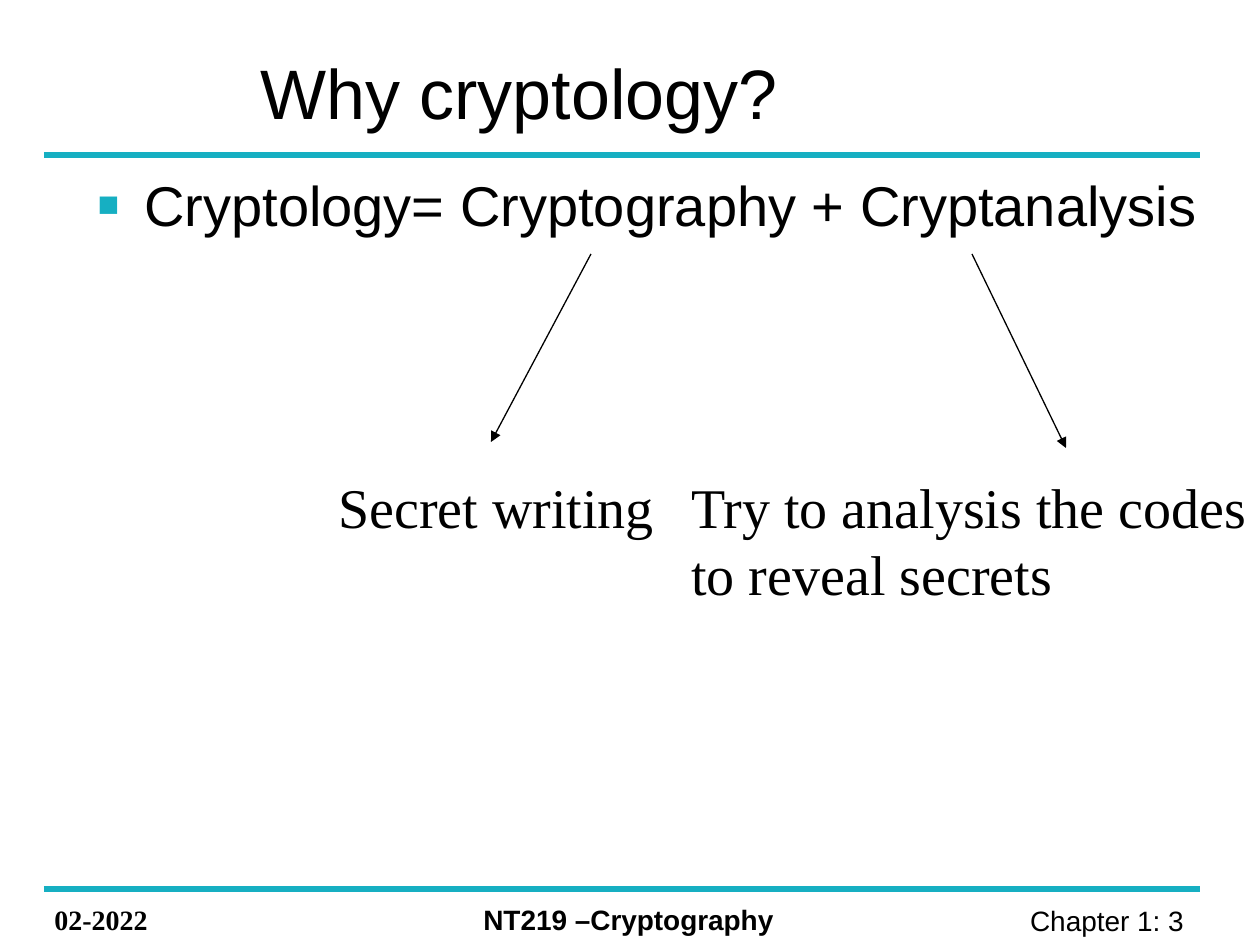
from dataclasses import dataclass

from lxml import etree
from pptx import Presentation
from pptx import util as u
from pptx.dml.color import RGBColor
from pptx.enum import shapes, text
from pptx.oxml.ns import qn

PX = 914400 / 126
BLACK = "000000"
TEAL = "16AFC2"
SANS = "Arial"
SERIF = "Times New Roman"


@dataclass(frozen=True)
class Stroke:
    """A straight line between two points in px."""

    start: tuple[int, int]
    end: tuple[int, int]
    color: str = BLACK
    width: float = 0.75
    arrow: bool = False


@dataclass(frozen=True)
class Label:
    """A piece of text with its box in px and its look."""

    words: str
    area: tuple[int, int, int, int]
    size: int
    font: str = SANS
    bold: bool = False
    wrap: bool = True
    align: text.PP_ALIGN = text.PP_ALIGN.LEFT


RULES = [Stroke((44, y), (1200, y), TEAL, 3) for y in (155, 889)]
ARROWS = [
    Stroke((591, 254), (491, 442), arrow=True),
    Stroke((972, 254), (1066, 448), arrow=True),
]
FOOTERS = [
    Label("02-2022", (42, 896, 168, 47), 16, SERIF, bold=True),
    Label("NT219 –Cryptography", (471, 896, 456, 47), 16, bold=True),
    Label("Chapter 1: 3 ", (927, 897, 277, 47), 16, align=text.PP_ALIGN.RIGHT),
]
MEANINGS = [
    Label("Secret writing", (326, 466, 344, 149), 32, SERIF, wrap=False),
    Label("Try to analysis the codes\nto reveal secrets", (679, 466, 586, 149), 32, SERIF, wrap=False),
]


def px(length: float) -> u.Emu:
    """Turn px into EMU."""
    return u.Emu(round(length * PX))


def rgb(color: str) -> RGBColor:
    """Turn a hex string into a colour."""
    return RGBColor.from_string(color)


def draw_stroke(page, stroke: Stroke) -> None:
    """Draw a line, with an arrowhead at its end if asked."""
    line = page.shapes.add_connector(
        shapes.MSO_CONNECTOR.STRAIGHT, *map(px, stroke.start + stroke.end)
    )
    line.line.color.rgb = rgb(stroke.color)
    line.line.width = u.Pt(stroke.width)
    if stroke.arrow:
        etree.SubElement(line.line._get_or_add_ln(), qn("a:tailEnd"), type="triangle")
    etree.SubElement(line._element.spPr, qn("a:effectLst"))


def add_text(page, words: str, area: tuple[int, int, int, int], *, size: int,
             font: str = SANS, color: str = BLACK, bold: bool = False,
             wrap: bool = True, align=text.PP_ALIGN.LEFT,
             anchor=text.MSO_ANCHOR.TOP):
    """Add a text box with one paragraph for each line of words."""
    box = page.shapes.add_textbox(*map(px, area))
    frame = box.text_frame
    frame.word_wrap = wrap
    frame.vertical_anchor = anchor
    frame.text = words
    for para in frame.paragraphs:
        para.alignment = align
        for span in para.runs:
            span.font.size = u.Pt(size)
            span.font.name = font
            span.font.bold = bold
            span.font.color.rgb = rgb(color)
    return box


def draw_label(page, label: Label) -> None:
    """Draw a label in its own format."""
    add_text(page, label.words, label.area, size=label.size, font=label.font,
             bold=label.bold, wrap=label.wrap, align=label.align)


def add_bullet(para, color: str, percent: int, indent: int) -> None:
    """Give a paragraph a coloured square bullet and a hanging indent."""
    props = para._p.get_or_add_pPr()
    props.set("marL", str(px(indent)))
    props.set("indent", str(-px(indent)))
    space = etree.SubElement(props, qn("a:spcBef"))
    etree.SubElement(space, qn("a:spcPct"), val="25000")
    tint = etree.SubElement(props, qn("a:buClr"))
    etree.SubElement(tint, qn("a:srgbClr"), val=color)
    etree.SubElement(props, qn("a:buSzPct"), val=str(percent * 1000))
    etree.SubElement(props, qn("a:buFont"), typeface=SANS)
    etree.SubElement(props, qn("a:buChar"), char="▪")


def main() -> None:
    """Build the slide and save it."""
    deck = Presentation()
    deck.slide_width, deck.slide_height = u.Inches(10), u.Inches(7.5)
    page = deck.slides.add_slide(deck.slide_layouts[6])
    for rule in RULES:
        draw_stroke(page, rule)
    for footer in FOOTERS:
        draw_label(page, footer)
    add_text(page, "Why cryptology?", (248, 37, 917, 110), size=40,
             anchor=text.MSO_ANCHOR.MIDDLE)
    body = add_text(page, "Cryptology= Cryptography + Cryptanalysis",
                    (84, 164, 1130, 684), size=32)
    add_bullet(body.text_frame.paragraphs[0], TEAL, percent=125, indent=48)
    for arrow in ARROWS:
        draw_stroke(page, arrow)
    for meaning in MEANINGS:
        draw_label(page, meaning)
    deck.save("out.pptx")


if __name__ == "__main__":
    main()
